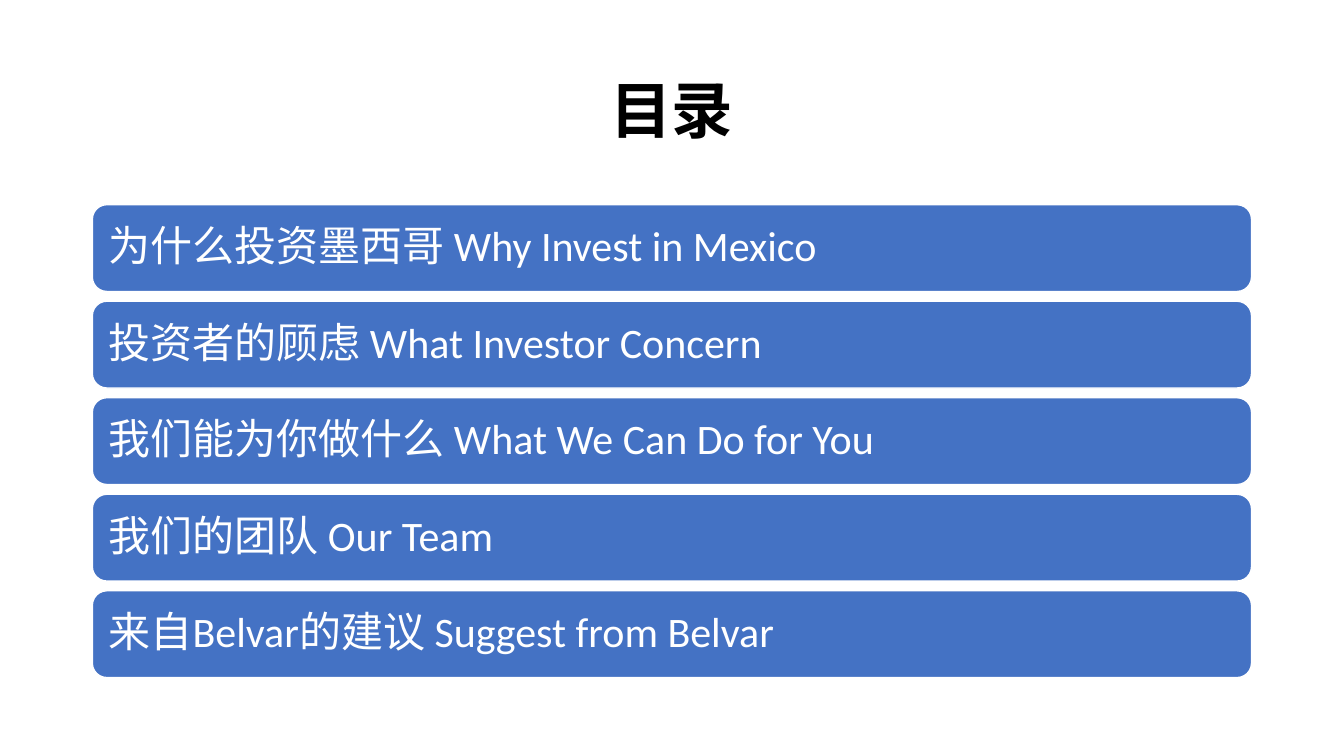
from pptx import Presentation
from pptx.dml.color import RGBColor
from pptx.enum.shapes import MSO_SHAPE
from pptx.enum.text import MSO_ANCHOR, PP_ALIGN
from pptx.util import Pt

HUES = {"bar": "4472C4", "light": "FFFFFF", "dark": "000000"}


class Deck:
    """Hold the style and the current slide."""

    font = "Calibri"

    def __init__(self, slide):
        self.slide = slide

    def hue(self, name):
        return RGBColor.from_string(HUES[name])

    def label(self, shape, text, size, hue, align, bold=False):
        frame = shape.text_frame
        frame.word_wrap = True
        frame.vertical_anchor = MSO_ANCHOR.MIDDLE
        frame.margin_left = frame.margin_right = Pt(8.6)
        line = frame.paragraphs[0]
        line.text = text
        line.alignment = align
        line.line_spacing = 0.9
        line.font.name = self.font
        line.font.size = Pt(size)
        line.font.bold = bold
        line.font.color.rgb = self.hue(hue)

    def title(self, text, left, top, width, height):
        box = self.slide.shapes.add_textbox(Pt(left), Pt(top), Pt(width), Pt(height))
        self.label(box, text, 44, "dark", PP_ALIGN.CENTER, True)

    def bar(self, text, left, top, width, height):
        bar = self.slide.shapes.add_shape(
            MSO_SHAPE.ROUNDED_RECTANGLE, Pt(left), Pt(top), Pt(width), Pt(height))
        bar.shadow.inherit = False
        bar.fill.solid()
        bar.fill.fore_color.rgb = self.hue("bar")
        bar.line.color.rgb = self.hue("light")
        bar.line.width = Pt(1)
        self.label(bar, text, 30, "light", PP_ALIGN.LEFT)


TOPICS = [
    "为什么投资墨西哥 Why Invest in Mexico",
    "投资者的顾虑 What Investor Concern",
    "我们能为你做什么 What We Can Do for You",
    "我们的团队 Our Team",
    "来自Belvar的建议 Suggest from Belvar",
]
LEFT, WIDTH = 66, 828
TOP, HEIGHT, STEP = 146.2, 62, 68.95

show = Presentation()
show.slide_width, show.slide_height = Pt(960), Pt(540)
deck = Deck(show.slides.add_slide(show.slide_layouts[6]))
deck.title("目录", LEFT, 28.75, WIDTH, 104.4)
for row, topic in enumerate(TOPICS):
    deck.bar(topic, LEFT, TOP + row * STEP, WIDTH, HEIGHT)
show.save("out.pptx")
